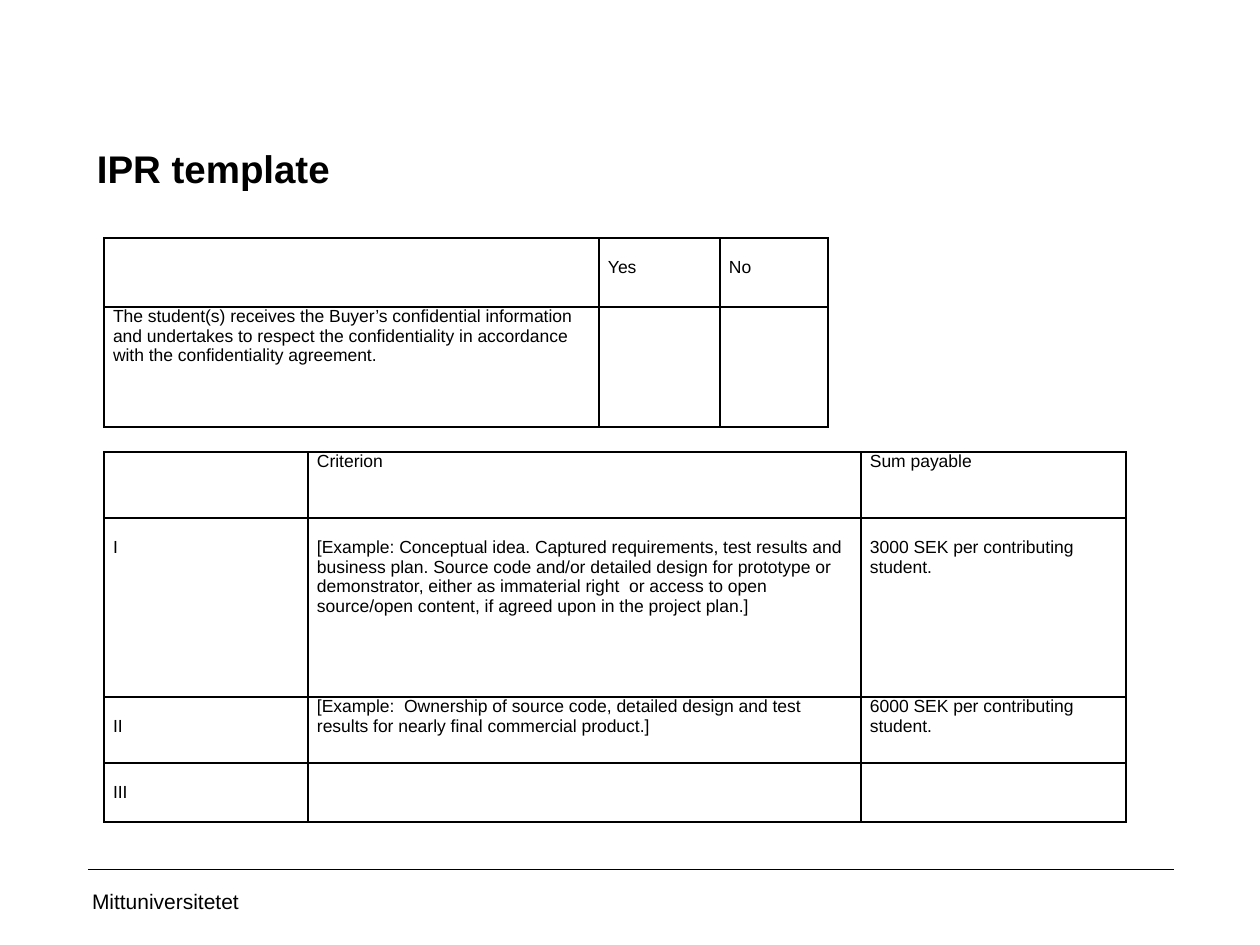
from lxml import etree
from pptx import Presentation
from pptx import util as u
from pptx.dml.color import RGBColor
from pptx.enum import shapes, text
from pptx.oxml import ns

PX = u.Inches(1) / 126
COLORS = {"ink": "000000"}
INK = RGBColor.from_string(COLORS["ink"])
LINE = 20  # height of one line of table text


def px(*lengths):
    return [u.Emu(round(length * PX)) for length in lengths]


def write(frame, content, size=10, bold=False, margins=(9, 0, 9, 0),
          anchor=text.MSO_ANCHOR.TOP, spacing=None):
    frame.word_wrap = True
    frame.vertical_anchor = anchor
    (frame.margin_left, frame.margin_top,
     frame.margin_right, frame.margin_bottom) = px(*margins)
    paragraph = frame.paragraphs[0]
    paragraph.alignment = text.PP_ALIGN.LEFT
    paragraph.line_spacing = spacing
    run = paragraph.add_run()
    run.text = content
    run.font.name = "Arial"
    run.font.size = u.Pt(size)
    run.font.bold = bold
    run.font.color.rgb = INK


presentation = Presentation()
presentation.slide_width, presentation.slide_height = px(1260, 945)
slide = presentation.slides.add_slide(presentation.slide_layouts[5])

# Footer name and rule
footer = slide.shapes.add_textbox(*px(87, 876, 284, 50))
write(footer.text_frame, "Mittuniversitetet", size=12, margins=(5, 6, 13, 6),
      anchor=text.MSO_ANCHOR.MIDDLE)
rule = slide.shapes.add_connector(shapes.MSO_CONNECTOR.STRAIGHT, *px(88, 869, 1174, 869))
rule.line.color.rgb = INK
rule.line.width = u.Pt(0.25)
etree.SubElement(rule._element.spPr, ns.qn("a:effectLst"))

# Title
title = slide.shapes.title
title.left, title.top, title.width, title.height = px(84, 122, 1090, 89)
title.text_frame.auto_size = text.MSO_AUTO_SIZE.NONE
write(title.text_frame, "IPR template", size=22, bold=True,
      margins=(13, 6, 13, 6), spacing=u.Pt(36))

# Tables: each filled cell holds its text and the lines it is lowered by
tables = [
    {
        "top": 238, "columns": [495, 121, 108], "rows": [69, 120],
        "cells": [
            [None, ("Yes", 1), ("No", 1)],
            [("The student(s) receives the Buyer’s confidential information and "
              "undertakes to respect the confidentiality in accordance with the "
              "confidentiality agreement.", 0), None, None],
        ],
    },
    {
        "top": 452, "columns": [204, 553, 265], "rows": [66, 179, 66, 59],
        "cells": [
            [None, ("Criterion", 0), ("Sum payable", 0)],
            [("I", 1),
             ("[Example: Conceptual idea. Captured requirements, test results and "
              "business plan. Source code and/or detailed design for prototype or "
              "demonstrator, either as immaterial right  or access to open "
              "source/open content, if agreed upon in the project plan.]", 1),
             ("3000 SEK per contributing student.", 1)],
            [("II", 1),
             ("[Example:  Ownership of source code, detailed design and test "
              "results for nearly final commercial product.]", 0),
             ("6000 SEK per contributing student.", 0)],
            [("III", 1), None, None],
        ],
    },
]

for data in tables:
    columns, rows = data["columns"], data["rows"]
    frame = slide.shapes.add_table(len(rows), len(columns),
                                   *px(104, data["top"], sum(columns), sum(rows)))
    table = frame.table
    table.first_row = table.horz_banding = False
    for column, width in zip(table.columns, px(*columns)):
        column.width = width
    for row, height in zip(table.rows, px(*rows)):
        row.height = height

    for row, contents in zip(table.rows, data["cells"]):
        for cell, content in zip(row.cells, contents):
            if content:
                words, lowered = content
                write(cell.text_frame, words)
                cell.vertical_anchor = text.MSO_ANCHOR.TOP
                (cell.margin_left, cell.margin_top,
                 cell.margin_right, cell.margin_bottom) = px(9, lowered * LINE, 9, 0)
            else:
                cell.text_frame.paragraphs[0].font.size = u.Pt(10)

            # Borders come before the fill in the cell properties
            properties = cell._tc.get_or_add_tcPr()
            for side in ("lnL", "lnR", "lnT", "lnB"):
                border = etree.SubElement(properties, ns.qn(f"a:{side}"), w=str(u.Pt(1)))
                fill = etree.SubElement(border, ns.qn("a:solidFill"))
                etree.SubElement(fill, ns.qn("a:srgbClr"), val=COLORS["ink"])
            cell.fill.background()

presentation.save("out.pptx")
